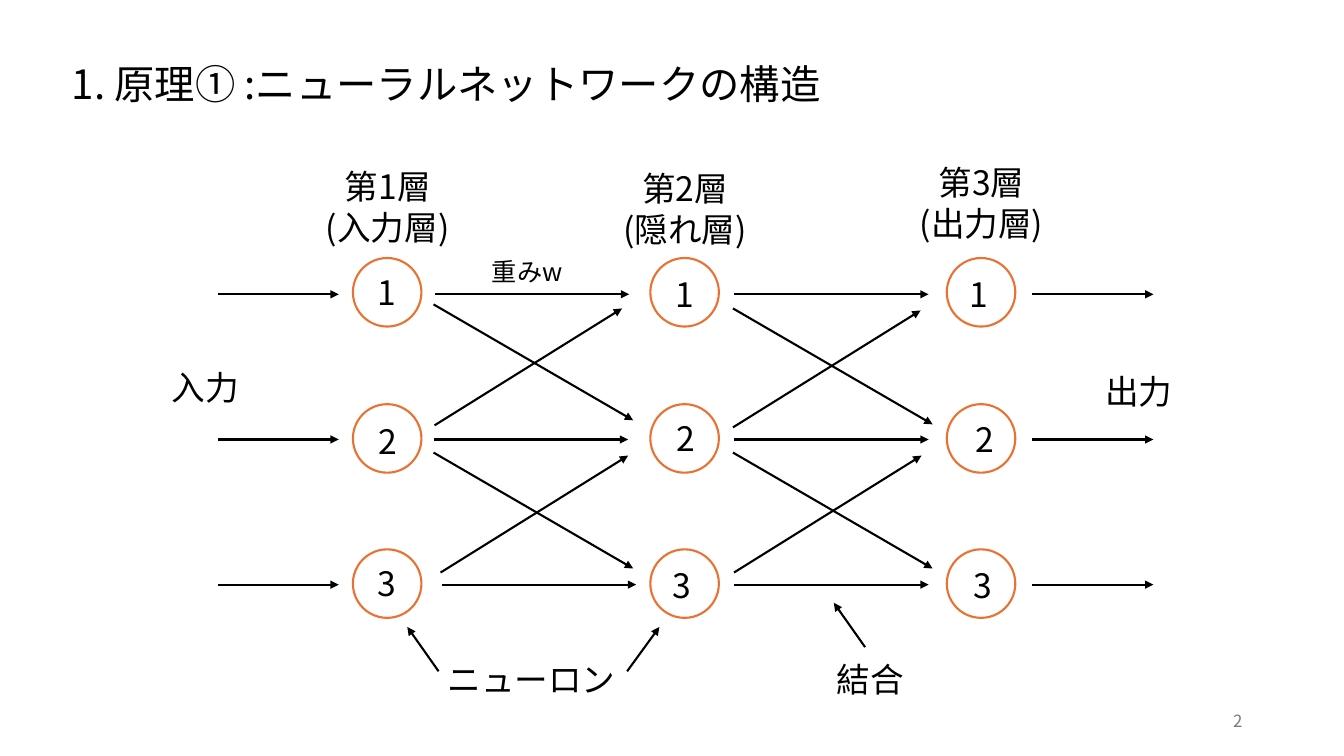
from lxml.etree import SubElement
from pptx import Presentation
from pptx.dml.color import RGBColor
from pptx.enum.shapes import MSO_CONNECTOR as Connector, MSO_SHAPE as Shape
from pptx.enum.text import MSO_ANCHOR as Anchor, MSO_AUTO_SIZE as AutoSize, PP_ALIGN as Align
from pptx.oxml.ns import qn
from pptx.util import Emu, Pt

EMU_PER_PX = 9144  # 100 px to the inch


def px(length):
    return Emu(length * EMU_PER_PX)


def colour(hex_value):
    return RGBColor.from_string(hex_value)


class Diagram:
    FONT = "Noto Sans CJK JP"
    INK, PAPER, RING, MUTED = "000000", "FFFFFF", "E97132", "797979"
    LINE = Pt(1.5)

    def __init__(self, slide):
        self.slide = slide

    def style_text(self, frame, text, size, ink, align):
        frame.word_wrap = True
        frame.text = text
        for paragraph in frame.paragraphs:
            paragraph.alignment = align
            for run in paragraph.runs:
                run.font.size = Pt(size)
                run.font.color.rgb = colour(ink)
                run.font.name = self.FONT
                SubElement(run.font._element, qn("a:ea"), typeface=self.FONT)

    def title(self, text, left, top, width, height, size):
        title = self.slide.shapes.title
        title.left, title.top = px(left), px(top)
        title.width, title.height = px(width), px(height)
        frame = title.text_frame
        self.style_text(frame, text, size, self.INK, Align.CENTER)
        frame.auto_size = AutoSize.NONE
        frame.vertical_anchor = Anchor.BOTTOM
        frame.paragraphs[0].line_spacing = 0.9
        frame.paragraphs[0].space_before = Pt(0)

    def label(self, text, left, top, width, height, size=24, ink=INK,
              align=Align.LEFT, anchor=Anchor.TOP, fill=None):
        box = self.slide.shapes.add_textbox(px(left), px(top), px(width), px(height))
        self.style_text(box.text_frame, text, size, ink, align)
        box.text_frame.vertical_anchor = anchor
        if fill:
            box.fill.solid()
            box.fill.fore_color.rgb = colour(fill)

    def neuron(self, left, top, diameter=68):
        circle = self.slide.shapes.add_shape(
            Shape.OVAL, px(left), px(top), px(diameter), px(diameter))
        circle.shadow.inherit = False
        circle.fill.solid()
        circle.fill.fore_color.rgb = colour(self.PAPER)
        circle.line.color.rgb = colour(self.RING)
        circle.line.width = self.LINE

    def arrow(self, x, y, dx, dy=0):
        arrow = self.slide.shapes.add_connector(
            Connector.STRAIGHT, px(x), px(y), px(x + dx), px(y + dy))
        arrow.line.color.rgb = colour(self.INK)
        arrow.line.width = self.LINE
        properties = arrow.element.spPr
        SubElement(properties.find(qn("a:ln")), qn("a:tailEnd"), type="triangle")
        SubElement(properties, qn("a:effectLst"))


def main():
    deck = Presentation()
    deck.slide_width, deck.slide_height = px(1333), px(750)
    slide = deck.slides.add_slide(deck.slide_layouts[0])
    subtitle = slide.placeholders[1].element
    subtitle.getparent().remove(subtitle)
    diagram = Diagram(slide)

    # Title and page number
    diagram.title("1. 原理① :ニューラルネットワークの構造 ", 57, 44, 780, 68, 28.8)
    diagram.label("2", 942, 695, 300, 40, size=12, ink=diagram.MUTED,
                  align=Align.RIGHT, anchor=Anchor.MIDDLE)

    # Layers: heading, left edge, heading top, number positions
    layers = [
        ("第1層\n(入力層)", 350, 160, [(365, 265), (366, 413), (365, 554)]),
        ("第2層\n(隠れ層)", 645, 162, [(660, 267), (661, 410), (657, 556)]),
        ("第3層\n(出力層)", 939, 156, [(952, 267), (958, 411), (956, 556)]),
    ]
    neuron_tops = [256, 401, 545]
    for heading, left, heading_top, numbers in layers:
        diagram.label(heading, left - 48, heading_top, 165, 87, align=Align.CENTER)
        for number, (top, (x, y)) in enumerate(zip(neuron_tops, numbers), start=1):
            diagram.neuron(left, top)
            diagram.label(str(number), x, y, 46, 50)

    # Inputs and outputs
    for y in (292, 436, 580):
        diagram.arrow(216, y, 120)
        diagram.arrow(1024, y, 120)
    diagram.label("入力", 158, 359, 91, 49, align=Align.CENTER)
    diagram.label("出力", 1084, 363, 91, 49, align=Align.CENTER)

    # Connections between layers: level, downward and upward
    connections = {
        (193, 0): [(431, 292), (430, 436), (438, 580),
                   (728, 292), (728, 436), (728, 580)],
        (198, 115): [(430, 302), (430, 449), (727, 306), (727, 449)],
        (186, -116): [(431, 422), (437, 568), (727, 424), (728, 568)],
    }
    for (dx, dy), starts in connections.items():
        for x, y in starts:
            diagram.arrow(x, y, dx, dy)

    # Callouts
    diagram.label("重みw", 478, 249, 109, 40, size=18)
    diagram.label("ニューロン", 434, 649, 202, 50, fill=diagram.PAPER)
    diagram.label("結合", 820, 649, 111, 50)
    for x, y, dx in ((435, 666, -31), (622, 666, 32), (858, 642, -31)):
        diagram.arrow(x, y, dx, -44)

    deck.save("out.pptx")


if __name__ == "__main__":
    main()
